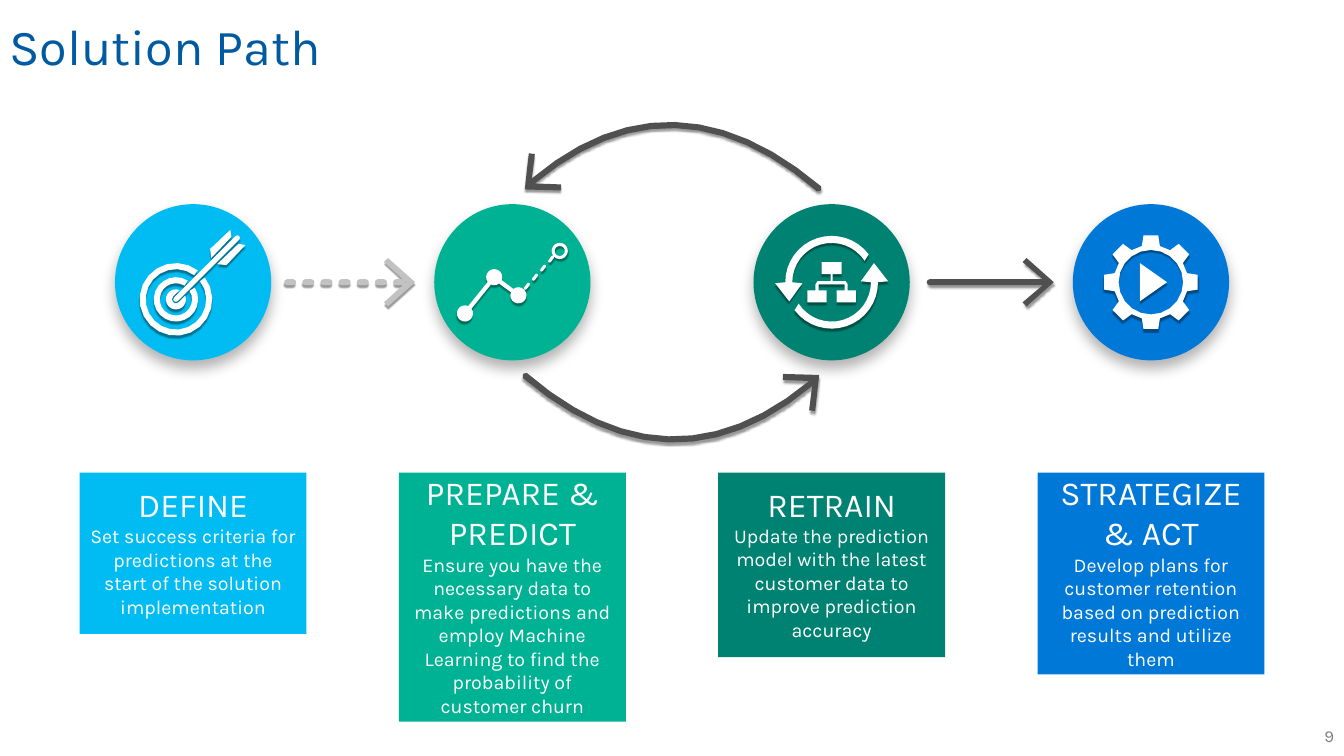
from dataclasses import dataclass
from math import atan2, cos, radians, degrees, sin

from lxml.etree import SubElement
from pptx import Presentation
from pptx.dml.color import RGBColor
from pptx.enum.shapes import MSO_SHAPE as Preset
from pptx.enum.text import MSO_ANCHOR as Anchor, MSO_AUTO_SIZE as AutoSize, PP_ALIGN as Align
from pptx.oxml.ns import qn
from pptx.util import Inches, Pt


@dataclass(frozen=True)
class Theme:
    font: str = "Karla"
    title: str = "005AA1"
    number: str = "808080"
    light: str = "FFFFFF"
    arrow: str = "505050"
    pale_arrow: str = "C2C2C2"
    title_size: int = 36
    heading_size: int = 24
    body_size: int = 14
    number_size: int = 12
    disc_shadow: tuple = (30, 10, 6)
    part_shadow: tuple = (40, 1, 2)


THEME = Theme()
WIDTH, HEIGHT = 13.33, 7.5
PITCH = 9.5 / 3
DISC = 1.55
CARD_WIDTH, CARD_TOP = 2.25, 4.69
MIDDLE_X, MIDDLE_Y = WIDTH / 2, 2.8


def paint(shape, color, shadow_look=None):
    """Fill without a line; shadow_look is opacity in percent, blur and distance in points."""
    shape.fill.solid()
    shape.fill.fore_color.rgb = RGBColor.from_string(color)
    shape.line.fill.background()
    effects = SubElement(shape.element.spPr, qn("a:effectLst"))
    if shadow_look:
        opacity, blur, distance = shadow_look
        shadow = SubElement(effects, qn("a:outerShdw"), blurRad=str(Pt(blur)), dist=str(Pt(distance)),
                            dir="5400000", algn="t", rotWithShape="0")
        tint = SubElement(shadow, qn("a:srgbClr"), val="000000")
        SubElement(tint, qn("a:alpha"), val=str(opacity * 1000))


def arc(center, radius, start, end, steps=16):
    angles = [radians(start + (end - start) * step / steps) for step in range(steps + 1)]
    return [(center[0] + radius * cos(angle), center[1] + radius * sin(angle)) for angle in angles]


def circle(center, radius):
    return arc(center, radius, 0, 360, 20)[:-1]


def bar(start, end, width, steps=1):
    """A thick line; more steps round its ends."""
    angle = degrees(atan2(end[1] - start[1], end[0] - start[0]))
    return (arc(start, width / 2, angle + 90, angle + 270, steps)
            + arc(end, width / 2, angle - 90, angle + 90, steps))


def bezier(controls, steps=12):
    shares = [step / steps for step in range(steps + 1)]
    weights = [((1 - t) ** 3, 3 * t * (1 - t) ** 2, 3 * t * t * (1 - t), t ** 3) for t in shares]
    return [tuple(sum(w * control[axis] for w, control in zip(row, controls)) for axis in (0, 1))
            for row in weights]


def turned(points):
    return [(-x, -y) for x, y in points]


def add_outline(shapes, center, contours, color):
    """One freeform of closed contours, given in inches from the centre."""
    placed = [[(Inches(center[0] + x), Inches(center[1] + y)) for x, y in contour] for contour in contours]
    builder = shapes.build_freeform(*placed[0][0], scale=1.0)
    for contour in placed:
        if contour is not placed[0]:
            builder.move_to(*contour[0])
        builder.add_line_segments(contour[1:], close=True)
    paint(builder.convert_to_shape(), color, THEME.part_shadow)


def target_contours():
    bullseye = (-0.17, 0.17)
    rings = [arc(bullseye, outer, gap - 45, 315 - gap, 20) + arc(bullseye, inner, 315 - gap, gap - 45, 20)
             for outer, inner, gap in ((0.36, 0.3, 8), (0.22, 0.16, 13))]
    core = arc(bullseye, 0.1, -22, 292) + arc(bullseye, 0.04, 225, 45, 4)
    feather = [(0.38, -0.45), (0.37, -0.52), (0.17, -0.33), (0.18, -0.24)]
    shaft = bar(bullseye, (0.44, -0.44), 0.05, 4)
    return [*rings, core, shaft, feather, [(-y, -x) for x, y in feather]]


def forecast_contours():
    first, peak, last = (-0.47, 0.31), (-0.18, -0.05), (0.06, 0.13)
    radius = 0.08
    history = (arc(first, radius, -36, 294) + arc(peak, radius, 144, 382, 12)
               + arc(last, radius, 232, 562) + arc(peak, radius, 52, 114, 3))
    dashes = [bar((0.13 + 0.08 * step, 0.06 - 0.09 * step), (0.16 + 0.08 * step, 0.02 - 0.09 * step), 0.03, 3)
              for step in range(4)]
    forecast = (0.47, -0.31)
    return [history, *dashes, circle(forecast, 0.08), circle(forecast, 0.05)]


def refresh_contours():
    hub = (0, 0)
    loop = ([(-0.29, 0.01), (-0.42, 0.19), (-0.56, 0.01)]
            + arc(hub, 0.46, 180, 323) + arc(hub, 0.39, 327, 180))
    half = [(0.1, -0.2), (0.1, -0.08), (0.01, -0.08), (0.01, -0.01), (0.14, -0.01), (0.16, 0.02),
            (0.16, 0.08), (0.24, 0.08), (0.24, 0.2), (0.05, 0.2), (0.05, 0.08), (0.13, 0.08), (0.13, 0.02)]
    return [loop, turned(loop), half + [(-x, y) for x, y in reversed(half)]]


def gear_contours():
    hub = (0, 0)
    teeth = [point for turn in range(0, 360, 45)
             for radius, spread in ((0.37, 14), (0.47, 9))
             for point in arc(hub, radius, turn - spread, turn + spread, 1)]
    order = (0, 2, 3, 1)
    rim = [teeth[4 * tooth + index] for tooth in range(8) for index in order]
    return [rim, circle(hub, 0.32), [(-0.11, -0.19), (0.16, 0), (-0.11, 0.19)]]


def add_text(paragraph, text, size, color, align):
    paragraph.alignment = align
    run = paragraph.add_run()
    run.text = text
    run.font.name = THEME.font
    run.font.size = Pt(size)
    run.font.color.rgb = RGBColor.from_string(color)


def add_disc(slide, center, color, contours):
    shapes = slide.shapes.add_group_shape().shapes
    corner = [Inches(middle - DISC / 2) for middle in center]
    paint(shapes.add_shape(Preset.OVAL, *corner, Inches(DISC), Inches(DISC)), color, THEME.disc_shadow)
    add_outline(shapes, center, contours, THEME.light)


def add_card(slide, left, height, color, heading, body):
    box = [Inches(length) for length in (left, CARD_TOP, CARD_WIDTH, height)]
    card = slide.shapes.add_shape(Preset.RECTANGLE, *box)
    paint(card, color)
    frame = card.text_frame
    frame.word_wrap = True
    frame.auto_size = AutoSize.SHAPE_TO_FIT_TEXT
    frame.vertical_anchor = Anchor.MIDDLE
    frame.margin_left = frame.margin_right = frame.margin_top = Inches(0.1)
    frame.margin_bottom = Inches(0.15)
    add_text(frame.paragraphs[0], heading, THEME.heading_size, THEME.light, Align.CENTER)
    add_text(frame.add_paragraph(), body, THEME.body_size, THEME.light, Align.CENTER)


def add_arrows(slide):
    dashes = [bar((-0.65 + 0.18 * step, 0), (-0.59 + 0.18 * step, 0), 0.06, 4) for step in range(7)]
    tip = [(0.31, 0.2), (0.35, 0.24), (0.62, 0), (0.35, -0.24), (0.31, -0.2)]
    add_outline(slide.shapes, (MIDDLE_X - PITCH, MIDDLE_Y), [*dashes, tip + [(0.53, 0)]], THEME.pale_arrow)
    onward = tip + [(0.51, -0.03)] + arc((-0.61, 0), 0.03, 270, 90, 4) + [(0.51, 0.03)]
    sweep = ([(1.1, 0.91), (1.1, 0.97)]
             + bezier([(1.36, 0.98), (0.44, 1.74), (-0.5, 1.71), (-1.44, 0.9)])
             + [(-1.48, 0.91)]
             + bezier([(-1.48, 0.95), (-0.51, 1.77), (0.46, 1.81), (1.39, 1.03)])
             + [(1.36, 1.27), (1.42, 1.28), (1.46, 0.92)])
    add_outline(slide.shapes, (MIDDLE_X, MIDDLE_Y),
                [[(x + PITCH, y) for x, y in onward], sweep, turned(sweep)], THEME.arrow)


def add_header(slide):
    title = slide.shapes.title
    title.left, title.top, title.width, title.height = 0, 0, Inches(WIDTH), Inches(0.97)
    frame = title.text_frame
    frame.vertical_anchor = Anchor.MIDDLE
    frame.auto_size = AutoSize.NONE
    frame.margin_left = Inches(0.09)
    frame.paragraphs[0].line_spacing = 0.9
    add_text(frame.paragraphs[0], "Solution Path", THEME.title_size, THEME.title, Align.LEFT)


def add_page_number(slide):
    box = slide.shapes.add_textbox(Inches(WIDTH - 3), Inches(HEIGHT - 0.4), Inches(3), Inches(0.4))
    box.text_frame.word_wrap = True
    box.text_frame.vertical_anchor = Anchor.MIDDLE
    add_text(box.text_frame.paragraphs[0], "9", THEME.number_size, THEME.number, Align.RIGHT)


STAGES = (
    ("00BCF2", 1.6, target_contours, "DEFINE",
     "Set success criteria for predictions at the start of the solution implementation"),
    ("00B294", 2.47, forecast_contours, "PREPARE & PREDICT", "Ensure you have the necessary data to make "
     "predictions and employ Machine Learning to find the probability of customer churn"),
    ("008272", 1.83, refresh_contours, "RETRAIN",
     "Update the prediction model with the latest customer data to improve prediction accuracy"),
    ("0078D7", 2, gear_contours, "STRATEGIZE & ACT",
     "Develop plans for customer retention based on prediction results and utilize them"),
)

presentation = Presentation()
presentation.slide_width, presentation.slide_height = Inches(WIDTH), Inches(HEIGHT)
slide = presentation.slides.add_slide(presentation.slide_layouts[5])
add_header(slide)
add_page_number(slide)
for index, (color, height, contours, heading, body) in enumerate(STAGES):
    x = MIDDLE_X + (index - 1.5) * PITCH
    add_card(slide, x - CARD_WIDTH / 2, height, color, heading, body)
    add_disc(slide, (x, MIDDLE_Y), color, contours())
add_arrows(slide)
presentation.save("out.pptx")
